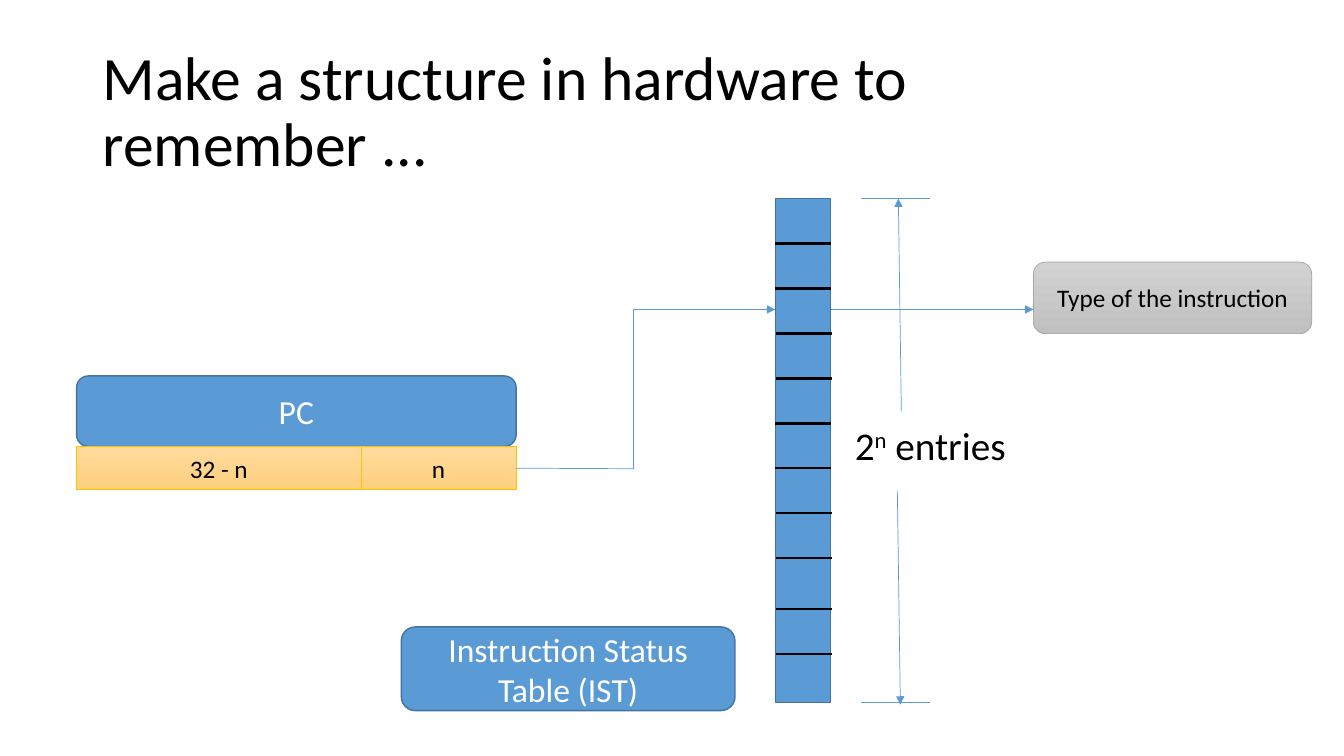
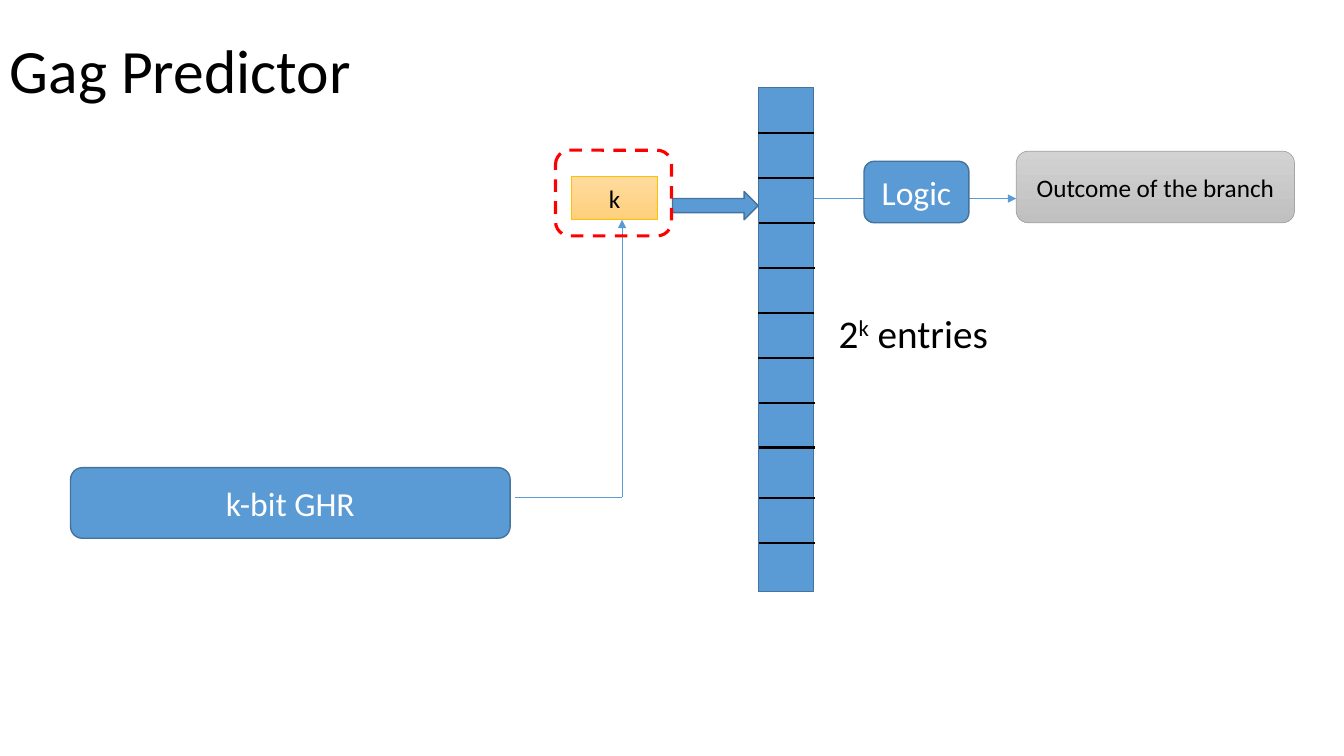
import pptx
import pptx.util
import pptx.dml.color
import pptx.enum.dml
import pptx.enum.shapes
import pptx.enum.text
import pptx.oxml
import pptx.oxml.ns

Inches = pptx.util.Inches
Pt = pptx.util.Pt
color = pptx.dml.color.RGBColor.from_string
shapes = pptx.enum.shapes.MSO_SHAPE

FONT = "Calibri"
BLACK = "000000"
BLUE = "5B9BD5"
STYLES = {
    "blue": dict(fills=[BLUE], edge="43739E", weight=1, size=24, ink="FFFFFF"),
    "gold": dict(fills=["FFDB9E", "FFD07C"], edge="FFC000", weight=0.5, size=18, ink=BLACK),
    "gray": dict(fills=["D2D2D2", "C0C0C0"], edge="A5A5A5", weight=0.5, size=18, ink=BLACK),
    "outline": dict(fills=[], edge="FF0000", weight=2.25, size=18, ink=BLACK),
}


def add_block(page, preset, bounds, style, text=""):
    look = STYLES[style]
    block = page.shapes.add_shape(preset, *[Inches(value) for value in bounds])
    block.shadow.inherit = False
    if len(look["fills"]) == 2:
        block.fill.gradient()
        block.fill.gradient_angle = 270
        for stop, shade in zip(block.fill.gradient_stops, look["fills"]):
            stop.color.rgb = color(shade)
    elif look["fills"]:
        block.fill.solid()
        block.fill.fore_color.rgb = color(look["fills"][0])
    else:
        block.fill.background()
    block.line.color.rgb = color(look["edge"])
    block.line.width = Pt(look["weight"])
    if text:
        para = block.text_frame.paragraphs[0]
        para.text = text
        para.alignment = pptx.enum.text.PP_ALIGN.CENTER
        para.font.name = FONT
        para.font.size = Pt(look["size"])
        para.font.color.rgb = color(look["ink"])
    return block


def add_line(page, start, end, shade=BLUE, weight=0.5, arrow=False):
    points = [Inches(value) for value in (*start, *end)]
    line = page.shapes.add_connector(pptx.enum.shapes.MSO_CONNECTOR.STRAIGHT, *points)
    line.line.color.rgb = color(shade)
    line.line.width = Pt(weight)
    if arrow:
        head = pptx.oxml.parse_xml(f'<a:tailEnd {pptx.oxml.ns.nsdecls("a")} type="triangle"/>')
        line.line._get_or_add_ln().append(head)
    effects = pptx.oxml.parse_xml(f'<a:effectLst {pptx.oxml.ns.nsdecls("a")}/>')
    line._element.spPr.append(effects)
    return line


deck = pptx.Presentation()
deck.slide_width = Inches(13.33)
deck.slide_height = Inches(7.5)

table_width, table_height = 0.55, 5
dividers = [3.57 * row / 8 for row in range(1, 9)] + [4.07, 4.52]
shifted_rows = (3, 4, 7, 8, 9, 10)

contents = [
    ("Make a structure in hardware to remember ...", (0.92, 0.4), (7.69, 1.97),
     "n", (8.38, 4.13), "Type of the instruction"),
    ("Gag Predictor", (0, 0), (7.52, 0.87),
     "k", (8.22, 3.02), "Outcome of the branch"),
]
pages = []
for title, title_corner, (left, top), exponent, entries_corner, result in contents:
    page = deck.slides.add_slide(deck.slide_layouts[6])
    pages.append(page)

    box = page.shapes.add_textbox(*[Inches(value) for value in (*title_corner, 11.5, 1.45)])
    box.text_frame.word_wrap = True
    box.text_frame.vertical_anchor = pptx.enum.text.MSO_ANCHOR.MIDDLE
    para = box.text_frame.paragraphs[0]
    para.text = title
    para.line_spacing = 0.9
    para.font.name = FONT
    para.font.size = Pt(44)
    para.font.color.rgb = color(BLACK)

    add_block(page, shapes.RECTANGLE, (left, top, table_width, table_height), "blue")
    for row, offset in enumerate(dividers, 1):
        x = left + (0.01 if row in shifted_rows else 0)
        add_line(page, (x, top + offset), (x + table_width, top + offset), BLACK, 1.5)

    add_block(page, shapes.ROUNDED_RECTANGLE, (left + 2.56, top + 0.63, 2.76, 0.71), "gray", result)
    add_line(page, (left + table_width, top + 1.1), (left + 2.56, top + 1.1), arrow=True)

    box = page.shapes.add_textbox(*[Inches(value) for value in (*entries_corner, 1.73, 0.57)])
    box.text_frame.word_wrap = False
    para = box.text_frame.paragraphs[0]
    for text in ("2", exponent, " entries"):
        span = para.add_run()
        span.text = text
        if text == exponent:
            span._r.get_or_add_rPr().set("baseline", "30000")
    para.font.name = FONT
    para.font.size = Pt(28)
    para.font.color.rgb = color(BLACK)

status_page, predictor_page = pages

add_block(status_page, shapes.ROUNDED_RECTANGLE, (0.76, 3.73, 4.36, 0.7), "blue", "PC")
add_block(status_page, shapes.RECTANGLE, (0.76, 4.43, 2.82, 0.43), "gold", "32 - n")
index_bits = add_block(status_page, shapes.RECTANGLE, (3.58, 4.43, 1.54, 0.43), "gold", "n")
add_block(status_page, shapes.ROUNDED_RECTANGLE, (3.98, 6.22, 3.31, 0.83), "blue",
          "Instruction Status Table (IST)")
index_line = add_line(status_page, (5.12, 4.65), (6.28, 4.65))
index_line.begin_connect(index_bits, 3)
add_line(status_page, (6.28, 4.65), (6.28, 3.07))
add_line(status_page, (6.28, 3.07), (7.69, 3.07), arrow=True)
for y in (1.97, 6.97):
    add_line(status_page, (8.54, y), (9.22, y))
add_line(status_page, (8.94, 4.08), (8.91, 1.97), arrow=True)
add_line(status_page, (8.9, 4.87), (8.93, 6.99), arrow=True)

add_block(predictor_page, shapes.ROUNDED_RECTANGLE, (0.7, 4.64, 4.36, 0.7), "blue", "k-bit GHR")
add_block(predictor_page, shapes.ROUNDED_RECTANGLE, (8.57, 1.6, 1.04, 0.61), "blue", "Logic")
add_block(predictor_page, shapes.RECTANGLE, (5.67, 1.75, 0.85, 0.43), "gold", "k")
add_line(predictor_page, (6.17, 4.93), (6.17, 2.18), arrow=True)
add_line(predictor_page, (5.11, 4.93), (6.17, 4.93))
add_block(predictor_page, shapes.RIGHT_ARROW, (6.67, 1.9, 0.85, 0.28), "blue")
highlight = add_block(predictor_page, shapes.ROUNDED_RECTANGLE, (5.51, 1.49, 1.15, 0.85), "outline")
highlight.line.dash_style = pptx.enum.dml.MSO_LINE.DASH

deck.save("out.pptx")
